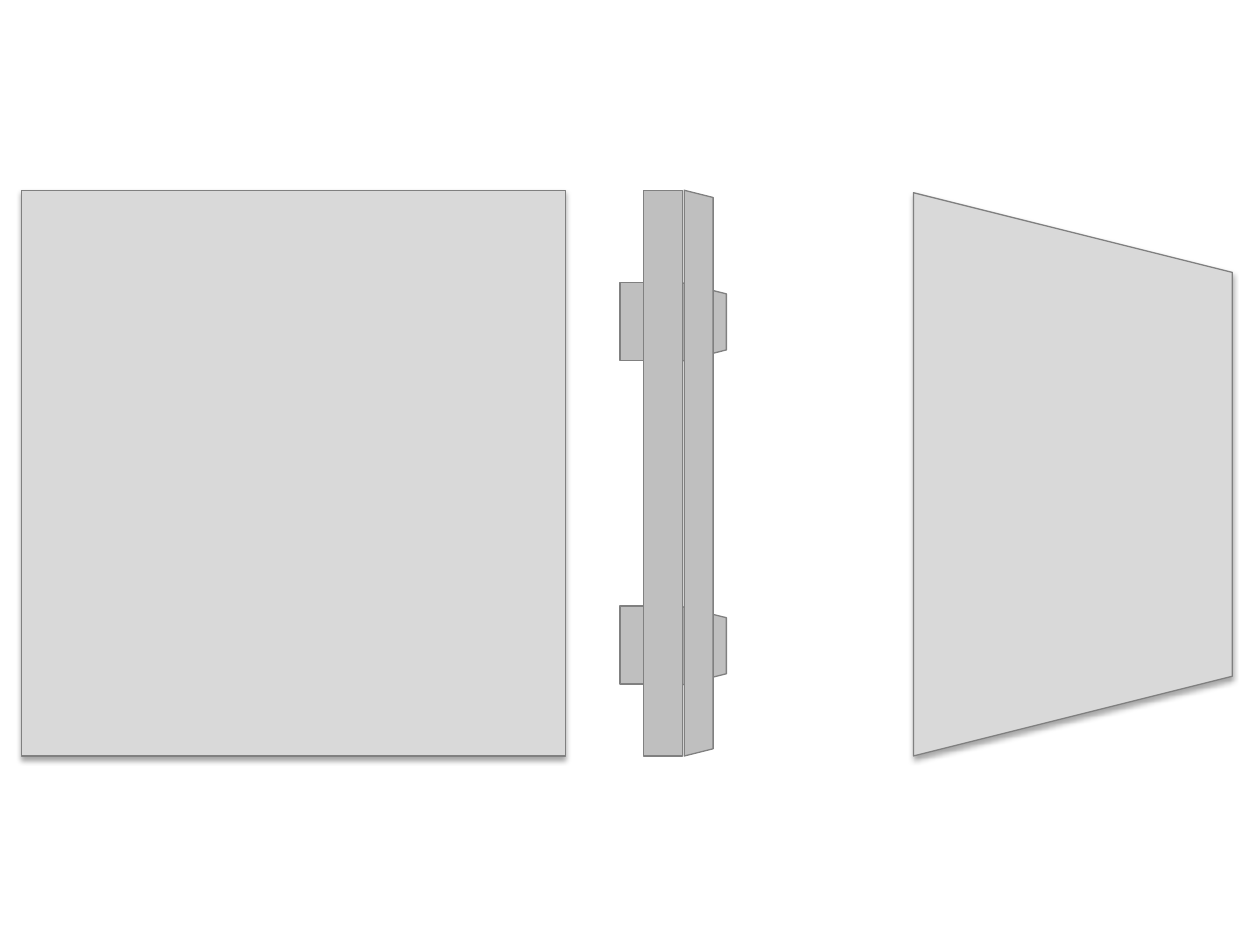
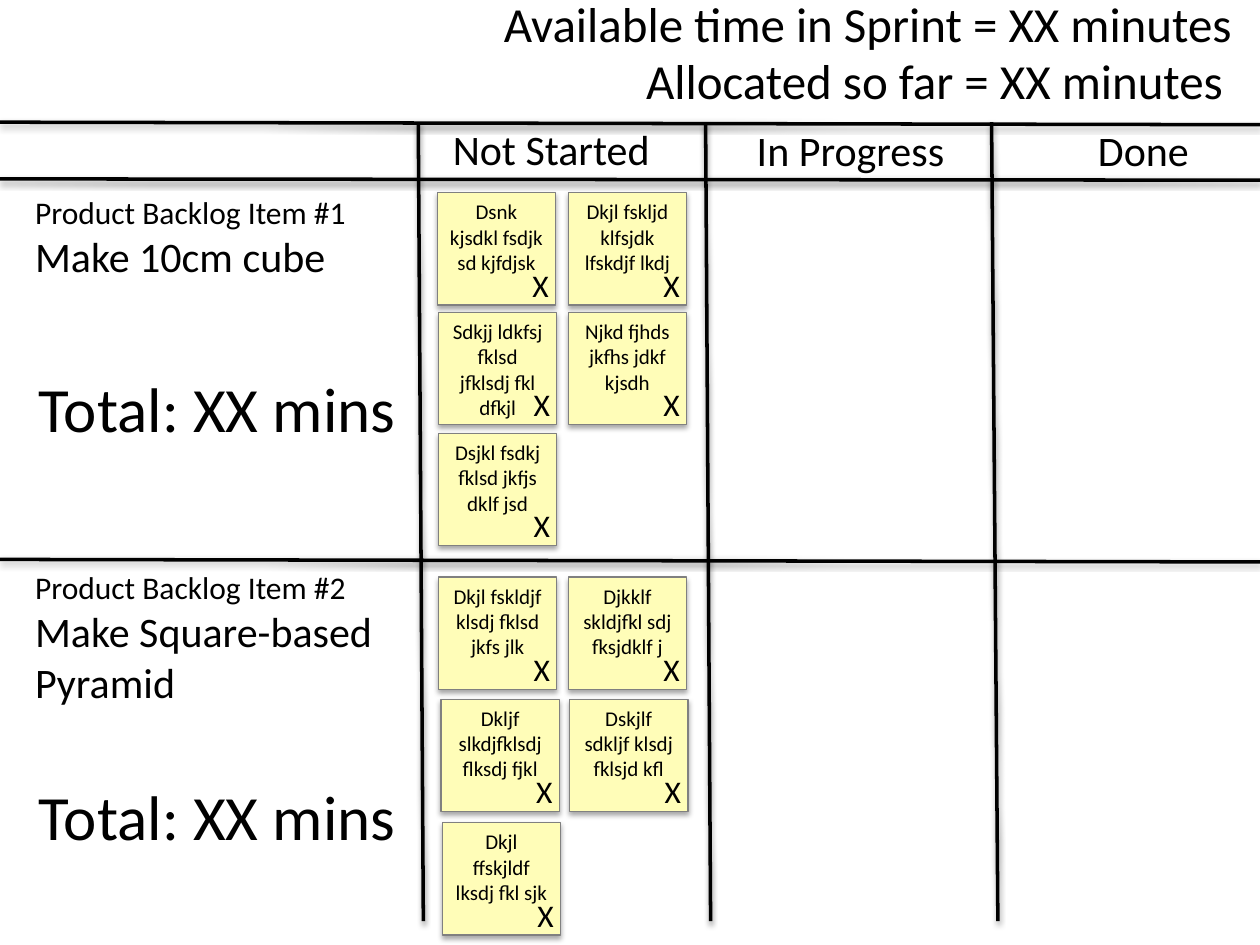
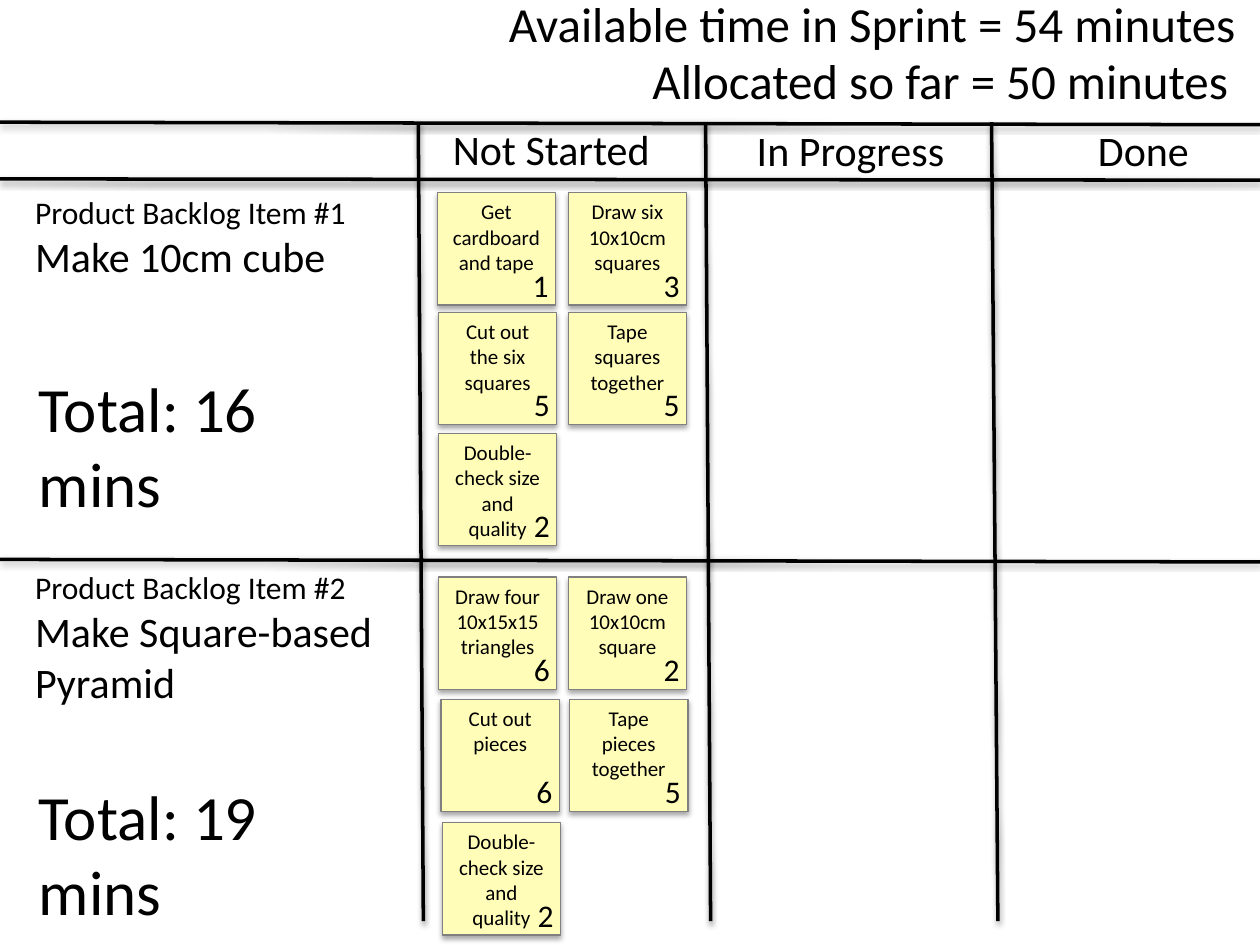
from lxml.etree import SubElement
from pptx import Presentation
from pptx.dml.color import RGBColor
from pptx.enum.shapes import MSO_CONNECTOR, MSO_SHAPE
from pptx.enum.text import MSO_ANCHOR, MSO_AUTO_SIZE, PP_ALIGN
from pptx.oxml.ns import qn
from pptx.util import Inches, Pt

FONT = "Calibri"
BLACK, WHITE, OUTLINE = "000000", "FFFFFF", "808080"
PANEL, FRAME, NOTE = "D9D9D9", "BFBFBF", "FFFDB8"

# Shadow settings: blur, distance, opacity
SHAPE_SHADOW = (40000, 23000, 35000)
LINE_SHADOW = (40000, 20000, 38000)

# Side view of the door: left, top, width, height; trapezoids are turned by 90°
HINGE_TOPS = (2.24, 4.81)
HINGE_PARTS = [
    (MSO_SHAPE.TRAPEZOID, 5.28, 0.14, 0.62, 0.35),
    (MSO_SHAPE.RECTANGLE, 4.92, 0, 0.5, 0.62),
]
EDGE_PARTS = [
    (MSO_SHAPE.TRAPEZOID, 3.3, 3.64, 4.49, 0.23),
    (MSO_SHAPE.RECTANGLE, 5.11, 1.51, 0.31, 4.49),
]
PANELS = [
    (MSO_SHAPE.RECTANGLE, 0.17, 1.51, 4.32, 4.49),
    (MSO_SHAPE.TRAPEZOID, 6.28, 2.5, 4.47, 2.53),
]

# Layout shared by the task boards
COLUMN_TITLES = [
    ("Not Started", 3.45, 0.93, 1.85),
    ("In Progress", 5.89, 0.94, 1.72),
    ("Done", 8.59, 0.94, 0.97),
]
BOARD_LINES = [
    (7.87, 0.97, 7.92, 7.31),
    (5.6, 0.97, 5.64, 7.31),
    (3.32, 0.97, 3.36, 7.31),
    (0, 1.42, 10, 1.43),
    (0, 0.97, 10, 0.99),
    (0, 4.44, 10, 4.46),
]
BACKLOG_ITEMS = [
    {"label": "Product Backlog Item #1", "goal": "Make 10cm cube",
     "top": 1.48, "height": 0.81, "total_top": 2.88,
     "notes": [(3.47, 1.53), (4.51, 1.53), (3.48, 2.48), (4.51, 2.48),
               (3.48, 3.44)]},
    {"label": "Product Backlog Item #2", "goal": "Make Square-based Pyramid",
     "top": 4.46, "height": 1.21, "total_top": 6.12,
     "notes": [(3.48, 4.58), (4.51, 4.58), (3.5, 5.55), (4.52, 5.55),
               (3.51, 6.53)]},
]
NOTE_WIDTH, NOTE_HEIGHT = 0.94, 0.89
SCORE_OFFSET_X, SCORE_OFFSET_Y = 0.63, 0.53

# Wording of each board; tasks are (text, minutes) for each backlog item
BOARDS = [
    {"headings": [("Available time in Sprint = XX minutes", 3.9, -0.1, 6.23),
                  ("Allocated so far = XX minutes", 5.03, 0.35, 5.08)],
     "totals": ["Total: XX mins", "Total: XX mins"],
     "total_width": 3.21,
     "tasks": [
         [("Dsnk kjsdkl fsdjk sd kjfdjsk", "X"),
          ("Dkjl fskljd klfsjdk lfskdjf lkdj", "X"),
          ("Sdkjj ldkfsj fklsd jfklsdj fkl dfkjl", "X"),
          ("Njkd fjhds jkfhs jdkf kjsdh", "X"),
          ("Dsjkl fsdkj fklsd jkfjs dklf jsd", "X")],
         [("Dkjl fskldjf klsdj fklsd jkfs jlk", "X"),
          ("Djkklf skldjfkl sdj fksjdklf j", "X"),
          ("Dkljf slkdjfklsdj flksdj fjkl", "X"),
          ("Dskjlf sdkljf klsdj fklsjd kfl", "X"),
          ("Dkjl ffskjldf lksdj fkl sjk", "X")]]},
    {"headings": [("Available time in Sprint = 54 minutes", 3.94, -0.1, 6.06),
                  ("Allocated so far = 50 minutes", 5.08, 0.35, 4.92)],
     "totals": ["Total: 16 mins", "Total: 19 mins"],
     "total_width": 2.9,
     "tasks": [
         [("Get cardboard and tape", "1"),
          ("Draw six 10x10cm squares", "3"),
          ("Cut out the six squares", "5"),
          ("Tape squares together", "5"),
          ("Double-check size and quality", "2")],
         [("Draw four 10x15x15 triangles", "6"),
          ("Draw one 10x10cm square", "2"),
          ("Cut out pieces", "6"),
          ("Tape pieces together", "5"),
          ("Double-check size and quality", "2")]]},
]


def color(value):
    return RGBColor.from_string(value)


def add_shadow(shape, settings=None):
    """Give the shape its own effect list, with a downward shadow if asked."""
    properties = shape._element.spPr
    effects = properties.find(qn("a:effectLst"))
    if effects is None:
        effects = SubElement(properties, qn("a:effectLst"))
    if settings:
        blur, distance, opacity = settings
        shadow = SubElement(effects, qn("a:outerShdw"), blurRad=str(blur),
                            dist=str(distance), dir="5400000", rotWithShape="0")
        tint = SubElement(shadow, qn("a:srgbClr"), val=BLACK)
        SubElement(tint, qn("a:alpha"), val=str(opacity))


def add_block(slide, kind, left, top, width, height, fill, shadow=None):
    shape = slide.shapes.add_shape(kind, Inches(left), Inches(top),
                                   Inches(width), Inches(height))
    if kind == MSO_SHAPE.TRAPEZOID:
        shape.rotation = 90
    shape.fill.solid()
    shape.fill.fore_color.rgb = color(fill)
    shape.line.color.rgb = color(OUTLINE)
    shape.line.width = Pt(0.75)
    shape.shadow.inherit = False
    add_shadow(shape, shadow)
    return shape


def write(frame, lines, alignment=PP_ALIGN.LEFT):
    """Fill a text frame with (text, size) paragraphs."""
    frame.word_wrap = True
    frame.vertical_anchor = MSO_ANCHOR.TOP
    for index, (text, size) in enumerate(lines):
        paragraph = frame.add_paragraph() if index else frame.paragraphs[0]
        paragraph.text = text
        paragraph.alignment = alignment
        paragraph.font.name = FONT
        paragraph.font.size = Pt(size)
        paragraph.font.color.rgb = color(BLACK)


def add_text(slide, left, top, width, height, lines, alignment=PP_ALIGN.LEFT):
    box = slide.shapes.add_textbox(Inches(left), Inches(top),
                                   Inches(width), Inches(height))
    write(box.text_frame, lines, alignment)
    box.text_frame.auto_size = MSO_AUTO_SIZE.SHAPE_TO_FIT_TEXT


def add_line(slide, *ends):
    line = slide.shapes.add_connector(MSO_CONNECTOR.STRAIGHT,
                                      *(Inches(end) for end in ends))
    line.line.color.rgb = color(BLACK)
    line.line.width = Pt(2)
    add_shadow(line, LINE_SHADOW)


def add_note(slide, left, top, task, minutes):
    note = add_block(slide, MSO_SHAPE.RECTANGLE, left, top,
                     NOTE_WIDTH, NOTE_HEIGHT, NOTE, SHAPE_SHADOW)
    note.text_frame.margin_bottom = 0
    write(note.text_frame, [(task, 12)], PP_ALIGN.CENTER)
    add_text(slide, left + SCORE_OFFSET_X, top + SCORE_OFFSET_Y, 0.38, 0.4,
             [(minutes, 18)], PP_ALIGN.CENTER)


def add_slide(presentation):
    slide = presentation.slides.add_slide(presentation.slide_layouts[6])
    slide.background.fill.solid()
    slide.background.fill.fore_color.rgb = color(WHITE)
    return slide


def build_door(presentation):
    slide = add_slide(presentation)
    for kind, *place in PANELS:
        add_block(slide, kind, *place, PANEL, SHAPE_SHADOW)
    for hinge_top in HINGE_TOPS:
        for kind, left, offset, width, height in HINGE_PARTS:
            add_block(slide, kind, left, hinge_top + offset, width, height, FRAME)
    for kind, *place in EDGE_PARTS:
        add_block(slide, kind, *place, FRAME)


def build_board(presentation, board):
    slide = add_slide(presentation)
    # Headings and grid
    for text, left, top, width in board["headings"]:
        add_text(slide, left, top, width, 0.57, [(text, 28)])
    for text, left, top, width in COLUMN_TITLES:
        add_text(slide, left, top, width, 0.5, [(text, 24)], PP_ALIGN.CENTER)
    for ends in BOARD_LINES:
        add_line(slide, *ends)
    # Backlog items with their totals and sticky notes
    for item, total, tasks in zip(BACKLOG_ITEMS, board["totals"], board["tasks"]):
        add_text(slide, 0.18, item["top"], 3.52, item["height"],
                 [(item["label"], 18), (item["goal"], 24)])
        add_text(slide, 0.21, item["total_top"], board["total_width"], 0.71,
                 [(total, 36)])
        for (left, top), (task, minutes) in zip(item["notes"], tasks):
            add_note(slide, left, top, task, minutes)


def main():
    presentation = Presentation()
    presentation.slide_width = Inches(10)
    presentation.slide_height = Inches(7.5)
    build_door(presentation)
    for board in BOARDS:
        build_board(presentation, board)
    presentation.save("out.pptx")


if __name__ == "__main__":
    main()
